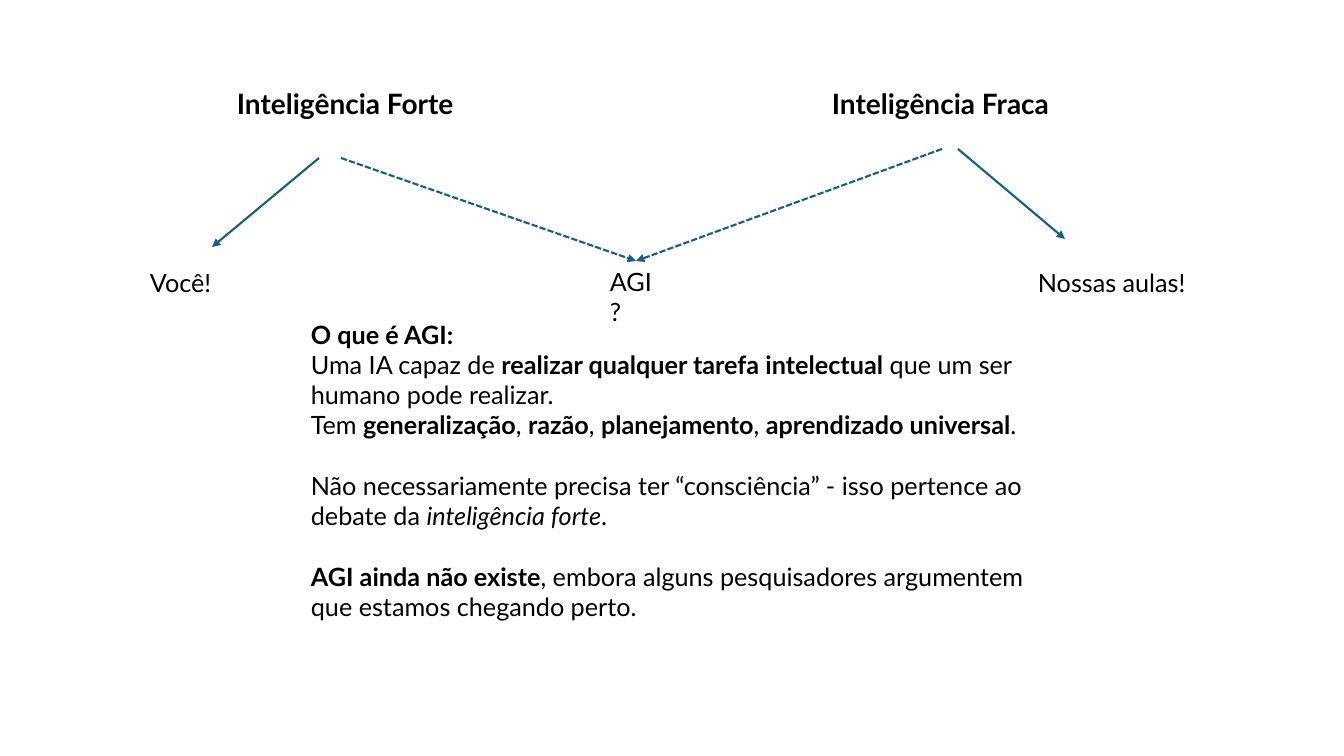
from lxml import etree
from pptx import Presentation
from pptx.dml.color import RGBColor
from pptx.enum.dml import MSO_LINE
from pptx.enum.shapes import MSO_CONNECTOR
from pptx.enum.text import MSO_AUTO_SIZE
from pptx.oxml.ns import qn
from pptx.util import Pt

PX = 914400 / 100.8
STRAIGHT = MSO_CONNECTOR.STRAIGHT
DASHED = MSO_LINE.SQUARE_DOT
GROW = MSO_AUTO_SIZE.SHAPE_TO_FIT_TEXT
BLACK = RGBColor(0x00, 0x00, 0x00)
TEAL = RGBColor(0x15, 0x60, 0x82)

PLAIN = {"name": "Lato", "size": Pt(18), "bold": False, "italic": False}
BOLD = {**PLAIN, "bold": True}
ITALIC = {**PLAIN, "italic": True}
HEADING = {**BOLD, "size": Pt(20)}
FRAME = {"word_wrap": True, "auto_size": GROW}
BLOCK_GAP = Pt(21.6)

LABELS = [
    ("Inteligência Forte", HEADING, (227, 82, 245, 44)),
    ("Inteligência Fraca", HEADING, (822, 82, 249, 44)),
    ("Você!", PLAIN, (140, 262, 83, 40)),
    ("AGI?", PLAIN, (600, 261, 72, 40)),
    ("Nossas aulas!", PLAIN, (1028, 262, 176, 40)),
]

AGI_TOP = (636, 261)
ARROWS = [
    ((319, 158), (212, 247), None),
    ((341, 158), AGI_TOP, DASHED),
    ((942, 149), AGI_TOP, DASHED),
    ((958, 149), (1065, 239), None),
]

EXPLANATION = [
    (None, [("O que é AGI:", BOLD)]),
    (None, [
        ("Uma IA capaz de ", PLAIN),
        ("realizar qualquer tarefa intelectual", BOLD),
        (" que um ser humano pode realizar.", PLAIN),
    ]),
    (None, [
        ("Tem ", PLAIN),
        ("generalização", BOLD),
        (", ", PLAIN),
        ("razão", BOLD),
        (", ", PLAIN),
        ("planejamento", BOLD),
        (", ", PLAIN),
        ("aprendizado universal", BOLD),
        (".", PLAIN),
    ]),
    (BLOCK_GAP, [
        ("Não necessariamente precisa ter “consciência” - isso pertence ao debate da ", PLAIN),
        ("inteligência forte", ITALIC),
        (".", PLAIN),
    ]),
    (BLOCK_GAP, [
        ("AGI ainda não existe", BOLD),
        (", embora alguns pesquisadores argumentem que estamos chegando perto.", PLAIN),
    ]),
]


def px(length):
    return round(length * PX)


def apply_format(target, values):
    for attribute, value in values.items():
        setattr(target, attribute, value)


def add_text(slide, bounds, paragraphs):
    frame = slide.shapes.add_textbox(*map(px, bounds)).text_frame
    apply_format(frame, FRAME)
    for index, (gap, pieces) in enumerate(paragraphs):
        paragraph = frame.add_paragraph() if index else frame.paragraphs[0]
        if gap is not None:
            paragraph.space_before = gap
        for words, style in pieces:
            run = paragraph.add_run()
            run.text = words
            apply_format(run.font, style)
            run.font.color.rgb = BLACK


def add_arrow(slide, start, end, dash):
    arrow = slide.shapes.add_connector(STRAIGHT, *map(px, start + end))
    arrow.line.color.rgb = TEAL
    apply_format(arrow.line, {"width": Pt(1.5), "dash_style": dash})
    outline = arrow.line._get_or_add_ln()
    etree.SubElement(outline, qn("a:tailEnd"), type="triangle")
    etree.SubElement(arrow._element.spPr, qn("a:effectLst"))


def main():
    deck = Presentation()
    apply_format(deck, {"slide_width": px(1344), "slide_height": px(756)})
    slide = deck.slides.add_slide(deck.slide_layouts[6])
    for words, style, bounds in LABELS:
        add_text(slide, bounds, [(None, [(words, style)])])
    for start, end, dash in ARROWS:
        add_arrow(slide, start, end, dash)
    add_text(slide, (301, 314, 741, 377), EXPLANATION)
    deck.save("out.pptx")


if __name__ == "__main__":
    main()
